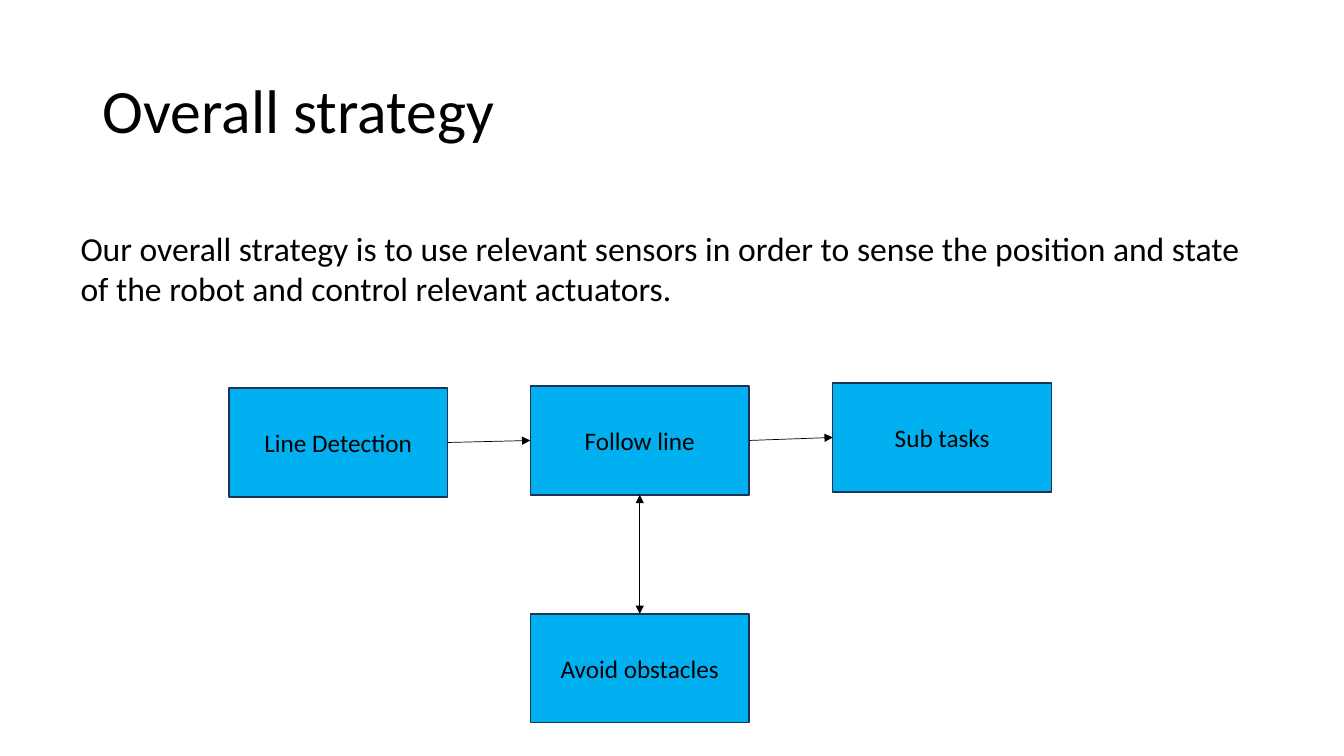
from dataclasses import dataclass

from pptx import Presentation
from pptx.dml.color import RGBColor
from pptx.enum.shapes import MSO_CONNECTOR, MSO_SHAPE
from pptx.enum.text import MSO_ANCHOR, PP_ALIGN
from pptx.oxml.ns import qn
from pptx.util import Inches, Pt
from lxml.etree import SubElement


@dataclass(frozen=True)
class Theme:
    font: str = "Calibri"
    ink: RGBColor = RGBColor(0x00, 0x00, 0x00)
    step_fill: RGBColor = RGBColor(0x00, 0xB0, 0xF0)
    step_border: RGBColor = RGBColor(0x1E, 0x32, 0x56)
    title_size: Pt = Pt(44)
    body_size: Pt = Pt(24)
    step_size: Pt = Pt(18)


THEME = Theme()


def write(shape, text, size, align, anchor):
    frame = shape.text_frame
    frame.word_wrap = True
    frame.vertical_anchor = anchor
    paragraph = frame.paragraphs[0]
    paragraph.text = text
    paragraph.alignment = align
    paragraph.font.name = THEME.font
    paragraph.font.size = size
    paragraph.font.color.rgb = THEME.ink
    return paragraph


presentation = Presentation()
presentation.slide_width = Inches(13.33)
presentation.slide_height = Inches(7.5)
slide = presentation.slides.add_slide(presentation.slide_layouts[5])

title = slide.shapes.title
title.left, title.top = Inches(0.92), Inches(0.4)
title.width, title.height = Inches(11.5), Inches(1.45)
heading = write(title, "Overall strategy", THEME.title_size, PP_ALIGN.LEFT, MSO_ANCHOR.MIDDLE)
heading.line_spacing = 0.9

summary = slide.shapes.add_textbox(Inches(0.7), Inches(2.21), Inches(11.99), Inches(0.91))
write(
    summary,
    "Our overall strategy is to use relevant sensors in order to sense the position "
    "and state of the robot and control relevant actuators.",
    THEME.body_size, PP_ALIGN.LEFT, MSO_ANCHOR.TOP,
)

# Label, left and top of each step
step_places = [
    ("Line Detection", 2.27, 3.85),
    ("Follow line", 5.26, 3.83),
    ("Sub tasks", 8.26, 3.8),
    ("Avoid obstacles", 5.26, 6.09),
]
steps = {}
for label, left, top in step_places:
    step = slide.shapes.add_shape(
        MSO_SHAPE.RECTANGLE, Inches(left), Inches(top), Inches(2.17), Inches(1.08)
    )
    step.shadow.inherit = False
    step.fill.solid()
    step.fill.fore_color.rgb = THEME.step_fill
    step.line.color.rgb = THEME.step_border
    step.line.width = Pt(1)
    write(step, label, THEME.step_size, PP_ALIGN.CENTER, MSO_ANCHOR.MIDDLE)
    steps[label] = step

# Start step and side, end step and side, arrowheads
TOP, LEFT, BOTTOM, RIGHT = range(4)
flows = [
    ("Line Detection", RIGHT, "Follow line", LEFT, ["tailEnd"]),
    ("Follow line", RIGHT, "Sub tasks", LEFT, ["tailEnd"]),
    ("Follow line", BOTTOM, "Avoid obstacles", TOP, ["headEnd", "tailEnd"]),
]
for start, start_side, end, end_side, arrowheads in flows:
    flow = slide.shapes.add_connector(MSO_CONNECTOR.STRAIGHT, 0, 0, 0, 0)
    flow.begin_connect(steps[start], start_side)
    flow.end_connect(steps[end], end_side)
    flow.line.color.rgb = THEME.ink
    flow.line.width = Pt(0.5)
    properties = flow.element.spPr
    outline = properties.find(qn("a:ln"))
    for arrowhead in arrowheads:
        SubElement(outline, qn(f"a:{arrowhead}"), type="triangle")
    SubElement(properties, qn("a:effectLst"))

presentation.save("out.pptx")
